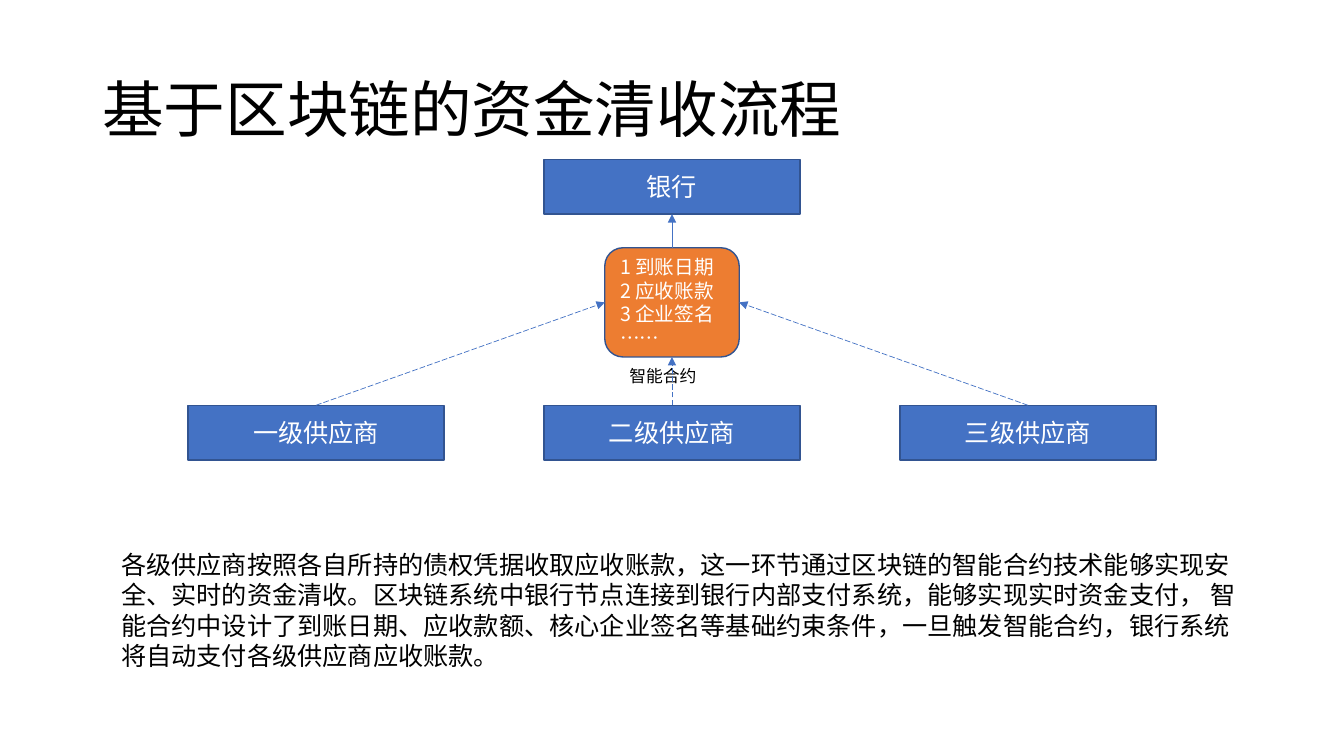
from pptx import Presentation
from pptx.dml.color import RGBColor
from pptx.enum.dml import MSO_LINE
from pptx.enum.shapes import MSO_CONNECTOR, MSO_SHAPE
from pptx.enum.text import MSO_ANCHOR as ANCHOR, PP_ALIGN as ALIGN
from pptx.oxml.ns import qn
from pptx.util import Pt
from lxml.etree import SubElement

PX = 9525  # EMU per px, 96 px to the inch
FONT = "Noto Sans CJK SC"
BLACK = RGBColor(0x00, 0x00, 0x00)
WHITE = RGBColor(0xFF, 0xFF, 0xFF)
BLUE = RGBColor(0x44, 0x72, 0xC4)
NAVY = RGBColor(0x32, 0x54, 0x91)
ORANGE = RGBColor(0xED, 0x7D, 0x31)

MID_X = 640
BOX_W, BOX_H = 244, 52
BANK_Y, SUPPLIER_Y = 152, 386
SUPPLIER_PITCH = 339
CONTRACT_Y, CONTRACT_W, CONTRACT_H = 236, 128, 104

TERMS = ["1 到账日期", "2 应收账款", "3 企业签名", "……"]
SUPPLIERS = ["一级供应商", "二级供应商", "三级供应商"]
BODY = (
    "各级供应商按照各自所持的债权凭据收取应收账款，这一环节通过区块链的智能合约技术能够实现"
    "安全、实时的资金清收。区块链系统中银行节点连接到银行内部支付系统，能够实现实时资金支付， "
    "智 能合约中设计了到账日期、应收款额、核心企业签名等基础约束条件，一旦触发智能合约，"
    "银行系统将自动支付各级供应商应收账款。"
)


def write(tf, lines, size, color, align=ALIGN.LEFT, anchor=ANCHOR.TOP, spacing=None):
    tf.word_wrap = True
    tf.vertical_anchor = anchor
    for i, line in enumerate(lines):
        p = tf.paragraphs[0] if i == 0 else tf.add_paragraph()
        p.alignment = align
        p.line_spacing = spacing
        r = p.add_run()
        r.text = line
        r.font.size = Pt(size)
        r.font.name = FONT
        r.font.color.rgb = color
        SubElement(r.font._element, qn("a:ea"), typeface=FONT)


def add_text(s, x, y, w, h, text, size, **style):
    sp = s.shapes.add_textbox(x * PX, y * PX, w * PX, h * PX)
    write(sp.text_frame, [text], size, BLACK, **style)


def add_box(s, kind, x, y, w, h, fill, lines, size, **style):
    sp = s.shapes.add_shape(kind, x * PX, y * PX, w * PX, h * PX)
    sp.shadow.inherit = False
    sp.fill.solid()
    sp.fill.fore_color.rgb = fill
    sp.line.color.rgb = NAVY
    sp.line.width = Pt(1)
    write(sp.text_frame, lines, size, WHITE, anchor=ANCHOR.MIDDLE, **style)


def add_party(s, center_x, y, name):
    add_box(s, MSO_SHAPE.RECTANGLE, center_x - BOX_W // 2, y, BOX_W, BOX_H,
            BLUE, [name], 18, align=ALIGN.CENTER)


def add_arrow(s, x1, y1, x2, y2, dash=None):
    c = s.shapes.add_connector(MSO_CONNECTOR.STRAIGHT, x1 * PX, y1 * PX, x2 * PX, y2 * PX)
    c.line.color.rgb = BLUE
    c.line.width = Pt(0.5)
    if dash:
        c.line.dash_style = dash
    SubElement(c.line._get_or_add_ln(), qn("a:tailEnd"), type="triangle")
    SubElement(c._element.spPr, qn("a:effectLst"))


def main():
    prs = Presentation()
    prs.slide_width, prs.slide_height = 1280 * PX, 720 * PX
    s = prs.slides.add_slide(prs.slide_layouts[6])

    # Title
    add_text(s, 88, 38, 1104, 139, "基于区块链的资金清收流程", 44,
             anchor=ANCHOR.MIDDLE, spacing=0.9)

    # Bank and suppliers
    add_party(s, MID_X, BANK_Y, "银行")
    centers = [MID_X + (i - 1) * SUPPLIER_PITCH for i in range(len(SUPPLIERS))]
    for x, name in zip(centers, SUPPLIERS):
        add_party(s, x, SUPPLIER_Y, name)

    # Smart contract with its caption
    left, right = MID_X - CONTRACT_W // 2, MID_X + CONTRACT_W // 2
    bottom = CONTRACT_Y + CONTRACT_H
    add_box(s, MSO_SHAPE.ROUNDED_RECTANGLE, left, CONTRACT_Y, CONTRACT_W, CONTRACT_H,
            ORANGE, TERMS, 14, spacing=Pt(16.8))
    add_text(s, 590, 344, 99, 29, "智能合约", 12, spacing=Pt(14.4))

    # Suppliers to contract, contract to bank
    middle = CONTRACT_Y + CONTRACT_H // 2
    for x, end in zip(centers, [(left, middle), (MID_X, bottom), (right, middle)]):
        add_arrow(s, x, SUPPLIER_Y, *end, dash=MSO_LINE.LONG_DASH)
    add_arrow(s, MID_X, CONTRACT_Y, MID_X, BANK_Y + BOX_H)

    # Explanation
    add_text(s, 106, 519, 1087, 126, BODY, 18, spacing=Pt(21.5))

    prs.save("out.pptx")


if __name__ == "__main__":
    main()
